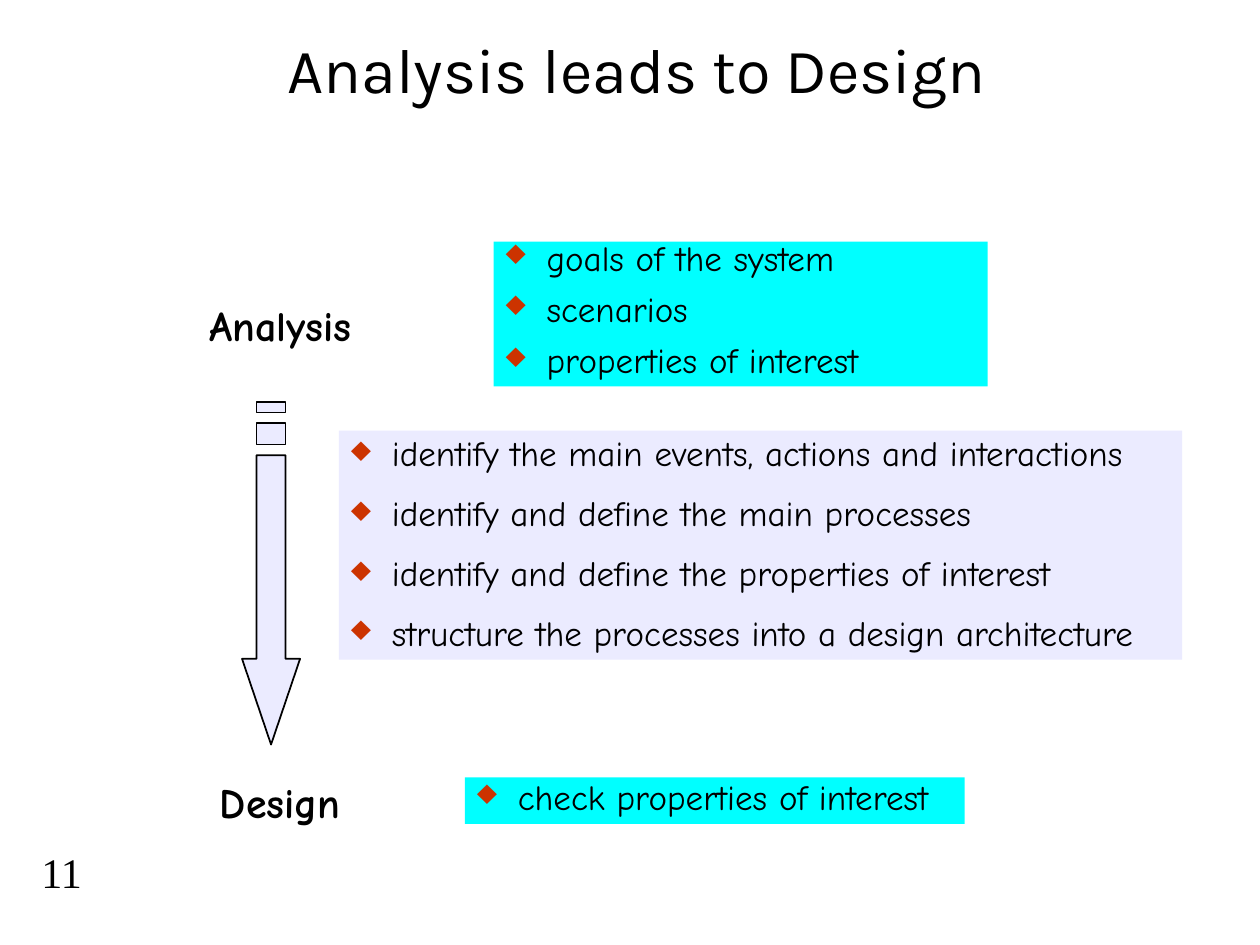
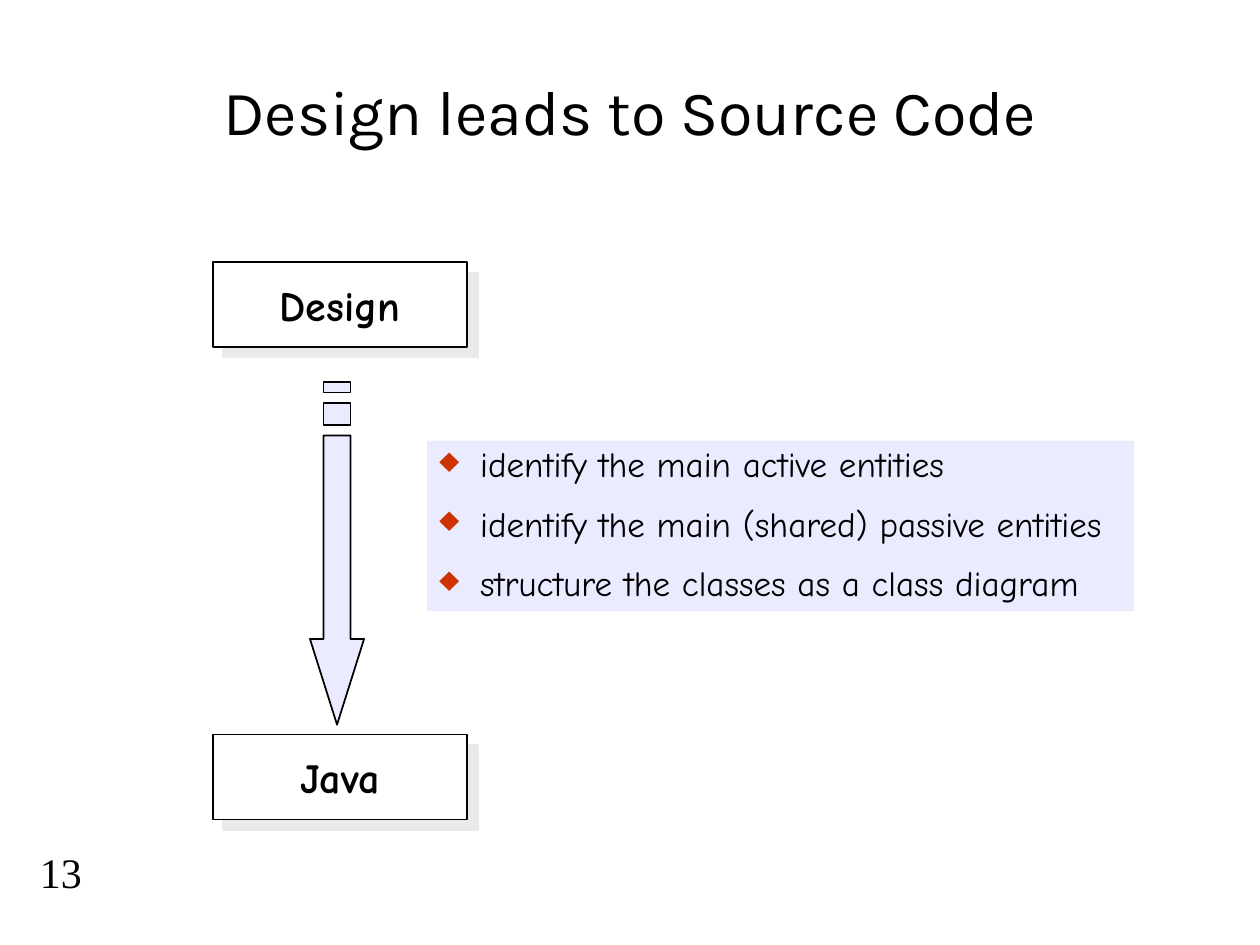
"""Two slides on the way from analysis to design and from design to source code."""
from lxml.etree import SubElement
from pptx import Presentation
from pptx.dml.color import RGBColor as Rgb
from pptx.enum.shapes import MSO_SHAPE as Kind
from pptx.enum.text import MSO_ANCHOR as Anchor, MSO_AUTO_SIZE as Fit, PP_ALIGN as Align
from pptx.oxml.ns import qn
from pptx.util import Cm, Pt

BLACK = Rgb(0x00, 0x00, 0x00)
WHITE = Rgb(0xFF, 0xFF, 0xFF)
CYAN = Rgb(0x00, 0xFF, 0xFF)
LILAC = Rgb(0xEB, 0xEB, 0xFF)
RED = Rgb(0xCC, 0x33, 0x00)
GREY = Rgb(0xEA, 0xEA, 0xEA)

HEAD, BODY, PAGE = "Karla", "Comic Neue", "Times New Roman"
INDENT = 0.82
LABEL_H = 1.27
STRIPES = [(0, 1), (2, 4)]
SHAFT, NECK, PARTS = 5, 24, 32

SLIDES = [
    {
        "title": ("Analysis leads to Design", (1.96, 0.43, 21.74, 1.9)),
        "number": "11",
        "labels": [("Analysis", 5.92), ("Design", 15.52)],
        "column": (2.92, 5.46),
        "boxed": False,
        "arrow": (4.88, 8.1, 1.17, 6.91),
        "lists": [
            (CYAN, 0.7, (9.95, 4.87, 9.96, 2.92),
             ["goals of the system", "scenarios", "properties of interest"]),
            (LILAC, 0.9, (6.83, 8.68, 17, 4.62),
             ["identify the main events, actions and interactions",
              "identify and define the main processes",
              "identify and define the properties of interest",
              "structure the processes into a design architecture"]),
            (CYAN, 0.8, (9.37, 15.67, 10.08, 0.94),
             ["check properties of interest"]),
        ],
    },
    {
        "title": ("Design leads to Source Code", (1.9, 0.64, 21.6, 3.17)),
        "number": "13",
        "labels": [("Design", 5.5), ("Java", 15.03)],
        "column": (4.29, 5.13),
        "boxed": True,
        "arrow": (6.25, 7.7, 1.09, 6.91),
        "lists": [
            (LILAC, 0.9, (8.61, 8.89, 14.25, 3.43),
             ["identify the main active entities",
              "identify the main (shared) passive entities",
              "structure the classes as a class diagram"]),
        ],
    },
]


def write(shape, lines, font=BODY, size=20, bold=False, align=Align.LEFT,
          anchor=Anchor.TOP, space=None, bullet=False):
    frame = shape.text_frame
    frame.word_wrap, frame.auto_size = True, Fit.NONE
    frame.vertical_anchor = anchor
    for i, line in enumerate(lines):
        para = frame.add_paragraph() if i else frame.paragraphs[0]
        para.alignment = align
        if space:
            para.line_spacing, para.space_before = space, Pt(12.5)
        if bullet:
            add_mark(para)
        run = para.add_run()
        run.text = line
        run.font.name, run.font.size, run.font.bold = font, Pt(size), bold
        run.font.color.rgb = BLACK


def add_mark(para):
    props = para._p.get_or_add_pPr()
    props.set("marL", str(Cm(INDENT)))
    props.set("indent", str(-Cm(INDENT)))
    tint = SubElement(props, qn("a:buClr"))
    SubElement(tint, qn("a:srgbClr"), val=str(RED))
    SubElement(props, qn("a:buChar"), char="♦")


def paint(shape, fill, line=None):
    shape.shadow.inherit = False
    shape.fill.solid()
    shape.fill.fore_color.rgb = fill
    if line is None:
        shape.line.fill.background()
    else:
        shape.line.color.rgb, shape.line.width = line, Pt(1)


def add_rect(slide, area, fill, line=None):
    rect = slide.shapes.add_shape(Kind.RECTANGLE, *map(Cm, area))
    paint(rect, fill, line)
    return rect


def add_box(slide, area):
    box = add_rect(slide, area, WHITE, BLACK)
    effects = box._element.spPr.find(qn("a:effectLst"))
    shade = SubElement(effects, qn("a:outerShdw"), blurRad="0", dist=str(Pt(8.5)),
                       dir="2700000", algn="ctr", rotWithShape="0")
    SubElement(shade, qn("a:srgbClr"), val=str(GREY))


def add_arrow(slide, left, top, width, height):
    def point(across, down):
        return Cm(left + width * across), Cm(top + height * down / PARTS)

    paths = [[(0.25, a), (0.75, a), (0.75, b), (0.25, b)] for a, b in STRIPES]
    paths.append([(0.25, SHAFT), (0.75, SHAFT), (0.75, NECK), (1, NECK),
                  (0.5, PARTS), (0, NECK), (0.25, NECK)])
    pen = slide.shapes.build_freeform(*point(*paths[0][0]))
    for i, path in enumerate(paths):
        if i:
            pen.move_to(*point(*path[0]))
        pen.add_line_segments([point(*spot) for spot in path[1:]], close=True)
    paint(pen.convert_to_shape(), LILAC, BLACK)


def add_text(slide, area, text, **style):
    write(slide.shapes.add_textbox(*map(Cm, area)), [text], size=24, **style)


def build(deck, data):
    slide = deck.slides.add_slide(deck.slide_layouts[5])
    title, (text, area) = slide.shapes.title, data["title"]
    title.left, title.top, title.width, title.height = map(Cm, area)
    write(title, [text], font=HEAD, size=36, align=Align.CENTER, anchor=Anchor.MIDDLE)
    add_arrow(slide, *data["arrow"])
    left, width = data["column"]
    for text, top in data["labels"]:
        if data["boxed"]:
            add_box(slide, (left, top - 0.22, width, LABEL_H + 0.44))
        add_text(slide, (left, top, width, LABEL_H), text, bold=True, align=Align.CENTER)
    for fill, space, area, lines in data["lists"]:
        write(add_rect(slide, area, fill), lines, space=space, bullet=True)
    add_text(slide, (0, 16.93, 1.9, 1.27), data["number"], font=PAGE, align=Align.RIGHT)


deck = Presentation()
deck.slide_width, deck.slide_height = Cm(25.4), Cm(19.05)
for data in SLIDES:
    build(deck, data)
deck.save("out.pptx")
